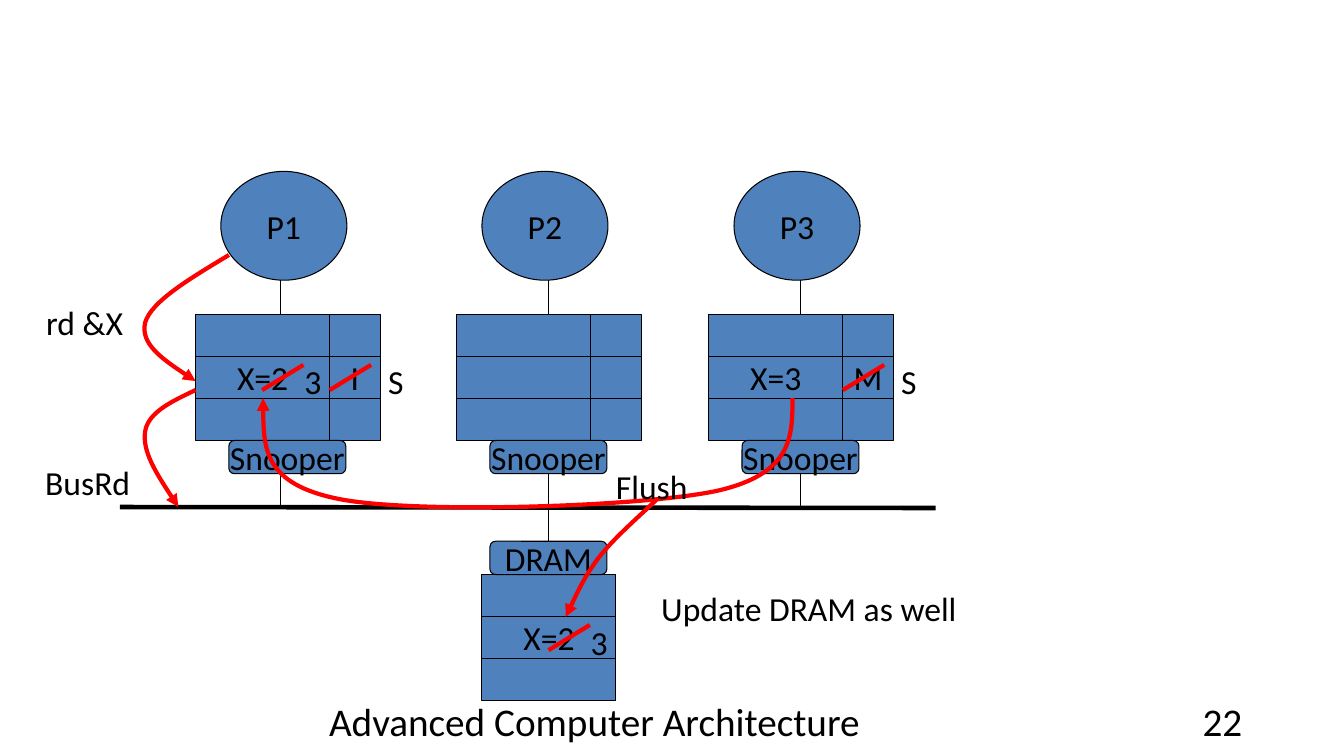
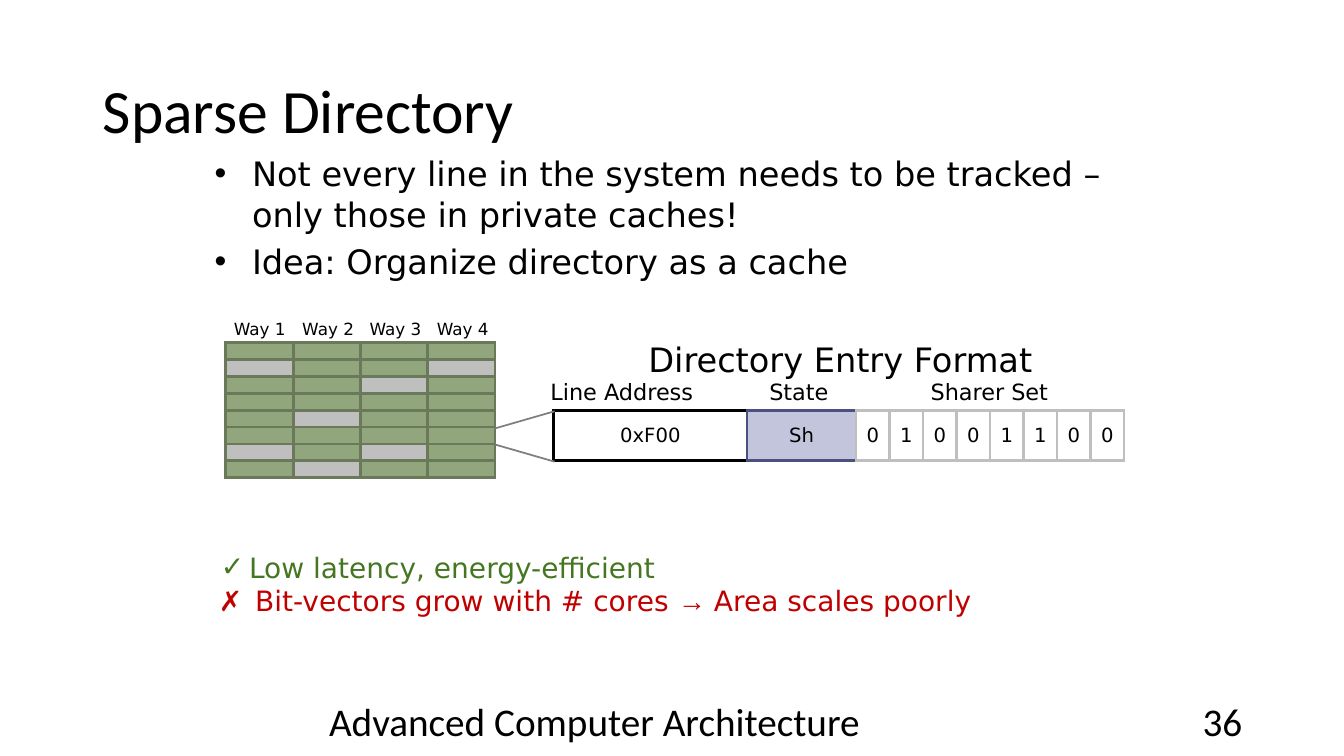
from lxml import etree
from pptx import Presentation
from pptx.dml.color import RGBColor
from pptx.enum import shapes, text
from pptx.oxml import ns
from pptx.util import Inches, Pt

BLACK = RGBColor(0x00, 0x00, 0x00)
BLUE = RGBColor(0x4F, 0x81, 0xBD)
RED = RGBColor(0xFF, 0x00, 0x00)
GRAY = RGBColor(0x7F, 0x7F, 0x7F)
SILVER = RGBColor(0xBF, 0xBF, 0xBF)
SAGE = RGBColor(0x91, 0xA6, 0x7C)
MOSS = RGBColor(0x69, 0x79, 0x59)
LAVENDER = RGBColor(0xC3, 0xC5, 0xDC)
INDIGO = RGBColor(0x4B, 0x50, 0x81)
GREEN = RGBColor(0x45, 0x77, 0x23)
CRIMSON = RGBColor(0xC0, 0x00, 0x00)
SANS = "DejaVu Sans"

ALIGN = text.PP_ALIGN
MIDDLE = text.MSO_ANCHOR.MIDDLE
STRAIGHT = shapes.MSO_CONNECTOR.STRAIGHT
OVAL = shapes.MSO_SHAPE.OVAL
RECTANGLE = shapes.MSO_SHAPE.RECTANGLE
ROUNDED = shapes.MSO_SHAPE.ROUNDED_RECTANGLE


def write(paragraph, content, size, font="Calibri", color=BLACK):
    run = paragraph.add_run()
    run.text = content
    run.font.size = Pt(size)
    run.font.name = font
    run.font.color.rgb = color


def outline(shape, color, width, arrow=False):
    shape.line.color.rgb = color
    shape.line.width = Pt(width)
    properties = shape.element.spPr
    if arrow:
        etree.SubElement(properties.find(ns.qn("a:ln")), ns.qn("a:tailEnd"), type="triangle")
    etree.SubElement(properties, ns.qn("a:effectLst"))


presentation = Presentation()
presentation.slide_width = Inches(13.33)
presentation.slide_height = Inches(7.5)
snoop_slide = presentation.slides.add_slide(presentation.slide_layouts[6])
sparse_slide = presentation.slides.add_slide(presentation.slide_layouts[5])

for slide, number in ((snoop_slide, "22"), (sparse_slide, "36")):
    for left, width, align, content in (
        (2.87, 6.05, ALIGN.CENTER, "Advanced Computer Architecture"),
        (9.42, 3, ALIGN.RIGHT, number),
    ):
        frame = slide.shapes.add_textbox(Inches(left), Inches(6.95), Inches(width), Inches(0.4)).text_frame
        frame.word_wrap = True
        frame.vertical_anchor = MIDDLE
        frame.paragraphs[0].alignment = align
        write(frame.paragraphs[0], content, 28)

ROW = 1.25 / 3
DATA_WIDTH, STATE_WIDTH = 1.33, 0.5
PORT_OFFSET, PORT_WIDTH = 0.33, 1.16
CACHE_TOP, BUS, DRAM_TOP, MEMORY_TOP = 3.12, 5.03, 5.37, 5.7
processors = [
    ("P1", 1.94, 2.78, "X=2", "I"),
    ("P2", 4.53, 5.44, "", ""),
    ("P3", 7.03, 7.94, "X=3", "M"),
]

boxes = []
for name, left, wire, data, state in processors:
    boxes.append((OVAL, left + 0.25, 1.7, 1.25, 1.08, name))
    for row in range(3):
        top = CACHE_TOP + row * ROW
        boxes.append((RECTANGLE, left, top, DATA_WIDTH, ROW, data if row == 1 else ""))
        boxes.append((RECTANGLE, left + DATA_WIDTH, top, STATE_WIDTH, ROW, state if row == 1 else ""))
    boxes.append((ROUNDED, left + PORT_OFFSET, CACHE_TOP + 3 * ROW, PORT_WIDTH, 0.33, "Snooper"))
for row in range(3):
    boxes.append((RECTANGLE, 4.78, MEMORY_TOP + row * ROW, DATA_WIDTH, ROW, "X=2" if row == 1 else ""))
boxes.append((ROUNDED, 4.86, DRAM_TOP, PORT_WIDTH, 0.33, "DRAM"))

ports = []
for kind, left, top, width, height, label in boxes:
    shape = snoop_slide.shapes.add_shape(kind, Inches(left), Inches(top), Inches(width), Inches(height))
    shape.fill.solid()
    shape.fill.fore_color.rgb = BLUE
    outline(shape, BLACK, 0.75)
    if label:
        frame = shape.text_frame
        frame.word_wrap = False
        frame.vertical_anchor = MIDDLE
        frame.paragraphs[0].alignment = ALIGN.CENTER
        write(frame.paragraphs[0], label, 24)
    if kind == ROUNDED:
        ports.append(shape)

dram = ports[-1]
wires = [(5.44, BUS, 5.44, DRAM_TOP, 0.75, None, dram), (1.19, BUS, 9.28, BUS + 0.01, 3.25, None, None)]
for (name, left, wire, data, state), snooper in zip(processors, ports):
    centered = abs(left + PORT_OFFSET + PORT_WIDTH / 2 - wire) < 0.01
    wires.append((wire, 2.78, wire, CACHE_TOP, 0.75, None, None))
    wires.append((wire, 4.7, wire, BUS, 0.75, snooper if centered else None, None))
for x1, y1, x2, y2, width, source, target in wires:
    connector = snoop_slide.shapes.add_connector(STRAIGHT, Inches(x1), Inches(y1), Inches(x2), Inches(y2))
    if source:
        connector.begin_connect(source, 2)
    if target:
        connector.end_connect(target, 0)
    outline(connector, BLACK, width)

messages = [
    [(2.27, 2.53), (1.89, 2.76), (1.5, 2.99), (1.44, 3.2), (1.39, 3.41), (1.66, 3.6), (1.94, 3.78)],
    [(1.94, 3.87), (1.71, 3.98), (1.47, 4.09), (1.44, 4.28), (1.41, 4.48), (1.59, 4.76), (1.77, 5.03)],
    [(6.52, 4.95), (6.31, 5.15), (6.09, 5.34), (5.94, 5.53), (5.79, 5.73), (5.66, 6.02), (5.61, 6.12)],
    [(7.86, 3.95), (7.86, 4.33), (7.86, 4.7), (7.11, 4.87), (6.36, 5.03), (4.11, 5.1), (3.36, 4.95),
     (2.61, 4.8), (2.61, 4.37), (2.61, 3.95)],
]
for points in messages:
    start, *controls = [(Inches(x), Inches(y)) for x, y in points]
    builder = snoop_slide.shapes.build_freeform(*start)
    builder.add_line_segments(controls, close=False)
    message = builder.convert_to_shape()
    segments = list(message.element.iter(ns.qn("a:lnTo")))
    for index in range(0, len(segments), 3):
        curve = etree.SubElement(segments[index].getparent(), ns.qn("a:cubicBezTo"))
        for segment in segments[index:index + 3]:
            curve.append(segment[0])
            segment.getparent().remove(segment)
    message.fill.background()
    outline(message, RED, 3, arrow=True)

for left, bottom in ((2.6, 3.87), (3.27, 3.87), (8.36, 3.87), (5.44, 6.45)):
    strike = snoop_slide.shapes.add_connector(
        STRAIGHT, Inches(left), Inches(bottom), Inches(left + 0.41), Inches(bottom - 0.25))
    outline(strike, RED, 3)

for left, top, width, label in (
    (0.36, 2.95, 1.14, "rd &X"),
    (0.35, 4.53, 1.25, "BusRd"),
    (2.92, 3.53, 0.41, "3"),
    (3.75, 3.53, 0.41, "S"),
    (8.84, 3.53, 0.41, "S"),
    (5.76, 6.12, 0.41, "3"),
    (6.01, 4.57, 1.08, "Flush"),
    (6.46, 5.78, 3.15, "Update DRAM as well"),
):
    frame = snoop_slide.shapes.add_textbox(Inches(left), Inches(top), Inches(width), Inches(0.5)).text_frame
    frame.word_wrap = True
    write(frame.paragraphs[0], label, 24)

title = sparse_slide.shapes.title
title.left, title.top, title.width, title.height = Inches(0.92), Inches(0.4), Inches(11.5), Inches(1.45)
title.text_frame.vertical_anchor = MIDDLE
title.text_frame.paragraphs[0].alignment = ALIGN.LEFT
title.text_frame.paragraphs[0].line_spacing = 0.9
write(title.text_frame.paragraphs[0], "Sparse Directory", 44)

WAY = 2.67 / 4
blocks = [
    (2.11, 1.52, 8.94, 1.3, [], [
        ("•", 0.39, 0, None, ALIGN.LEFT, 24, BLACK,
         [("Not every line in the system needs to be tracked – only those in private caches!", SANS)]),
        ("•", 0.39, 5.3, None, ALIGN.LEFT, 24, BLACK, [("Idea: Organize directory as a cache", SANS)]),
    ]),
    (5.46, 3.37, 4.98, 0.68, [2.17, 3.77], [
        ("", 0.77, 0, 28.2, ALIGN.CENTER, 24, BLACK, [("Directory Entry Format", SANS)]),
        ("", 0, 0, 18.6, ALIGN.LEFT, 16, BLACK, [("Line Address\tState\tSharer Set", SANS)]),
    ]),
    (2.17, 5.46, 7.95, 0.69, [0.36], [
        ("✓", 0.3, 0, None, ALIGN.LEFT, 20, GREEN, [("Low latency, energy-efficient", SANS)]),
        ("", 0, 0, None, ALIGN.LEFT, 20, CRIMSON,
         [("✗\t", "Arial"), ("Bit-vectors grow with # cores ", SANS),
          ("→ ", "Arial"), ("Area scales poorly", SANS)]),
    ]),
    (2.32, 3.16, 2.55, 0.22, [WAY * way + 0.01 for way in (1, 2, 3)], [
        ("", 0, 0, None, ALIGN.LEFT, 12, BLACK, [("Way 1\tWay 2\tWay 3\tWay 4", SANS)]),
    ]),
]
for left, top, width, height, tabs, paragraphs in blocks:
    frame = sparse_slide.shapes.add_textbox(Inches(left), Inches(top), Inches(width), Inches(height)).text_frame
    frame.word_wrap = True
    frame.margin_left = frame.margin_top = frame.margin_right = frame.margin_bottom = 0
    for index, (bullet, margin, space, spacing, align, size, color, runs) in enumerate(paragraphs):
        paragraph = frame.add_paragraph() if index else frame.paragraphs[0]
        properties = paragraph._p.get_or_add_pPr()
        properties.set("marL", str(Inches(margin)))
        if bullet:
            properties.set("indent", str(Inches(0.02 - margin)))
            etree.SubElement(properties, ns.qn("a:buFont"), typeface="Arial")
            etree.SubElement(properties, ns.qn("a:buChar"), char=bullet)
        elif tabs:
            stops = etree.SubElement(properties, ns.qn("a:tabLst"))
            for tab in tabs:
                etree.SubElement(stops, ns.qn("a:tab"), pos=str(Inches(tab)), algn="l")
        paragraph.alignment = align
        if space:
            paragraph.space_before = Pt(space)
        if spacing:
            paragraph.line_spacing = Pt(spacing)
        for content, font in runs:
            write(paragraph, content, size, font, color)

empty_ways = {(1, 0), (1, 3), (2, 2), (4, 1), (6, 0), (6, 2), (7, 1)}
directory = [
    [("", SILVER if (row, way) in empty_ways else SAGE, [MOSS] * 4) for way in range(4)]
    for row in range(8)
]
entry = [[("0xF00", None, [BLACK, INDIGO, BLACK, BLACK]), ("Sh", LAVENDER, [INDIGO, SILVER, INDIGO, INDIGO])]
         + [(bit, None, [SILVER] * 4) for bit in "01001100"]]
for left, top, widths, height, rows in (
    (2.24, 3.4, [WAY] * 4, 1.34 / 8, directory),
    (5.49, 4.07, [1.92, 1.08] + [2.66 / 8] * 8, 0.5, entry),
):
    table = sparse_slide.shapes.add_table(
        len(rows), len(widths), Inches(left), Inches(top),
        Inches(sum(widths)), Inches(height * len(rows))).table
    table.first_row = table.horz_banding = False
    for column, width in zip(table.columns, widths):
        column.width = Inches(width)
    for row, cells in zip(table.rows, rows):
        row.height = Inches(height)
        for cell, (content, fill, edges) in zip(row.cells, cells):
            cell.margin_left = cell.margin_top = cell.margin_right = cell.margin_bottom = 0
            cell.vertical_anchor = MIDDLE
            if fill:
                cell.fill.solid()
                cell.fill.fore_color.rgb = fill
            else:
                cell.fill.background()
            properties = cell._tc.get_or_add_tcPr()
            for index, (side, color) in enumerate(zip("LRTB", edges)):
                border = etree.Element(ns.qn("a:ln" + side), w=str(Pt(2.25)))
                solid = etree.SubElement(border, ns.qn("a:solidFill"))
                etree.SubElement(solid, ns.qn("a:srgbClr"), val=str(color))
                properties.insert(index, border)
            paragraph = cell.text_frame.paragraphs[0]
            if content:
                paragraph.alignment = ALIGN.CENTER
                write(paragraph, content, 14, SANS)
            else:
                etree.SubElement(paragraph._p, ns.qn("a:endParaRPr"), sz="600")

for start, end in ((4.25, 4.08), (4.41, 4.58)):
    callout = sparse_slide.shapes.add_connector(STRAIGHT, Inches(4.91), Inches(start), Inches(5.5), Inches(end))
    outline(callout, GRAY, 1.25)

presentation.save("out.pptx")
